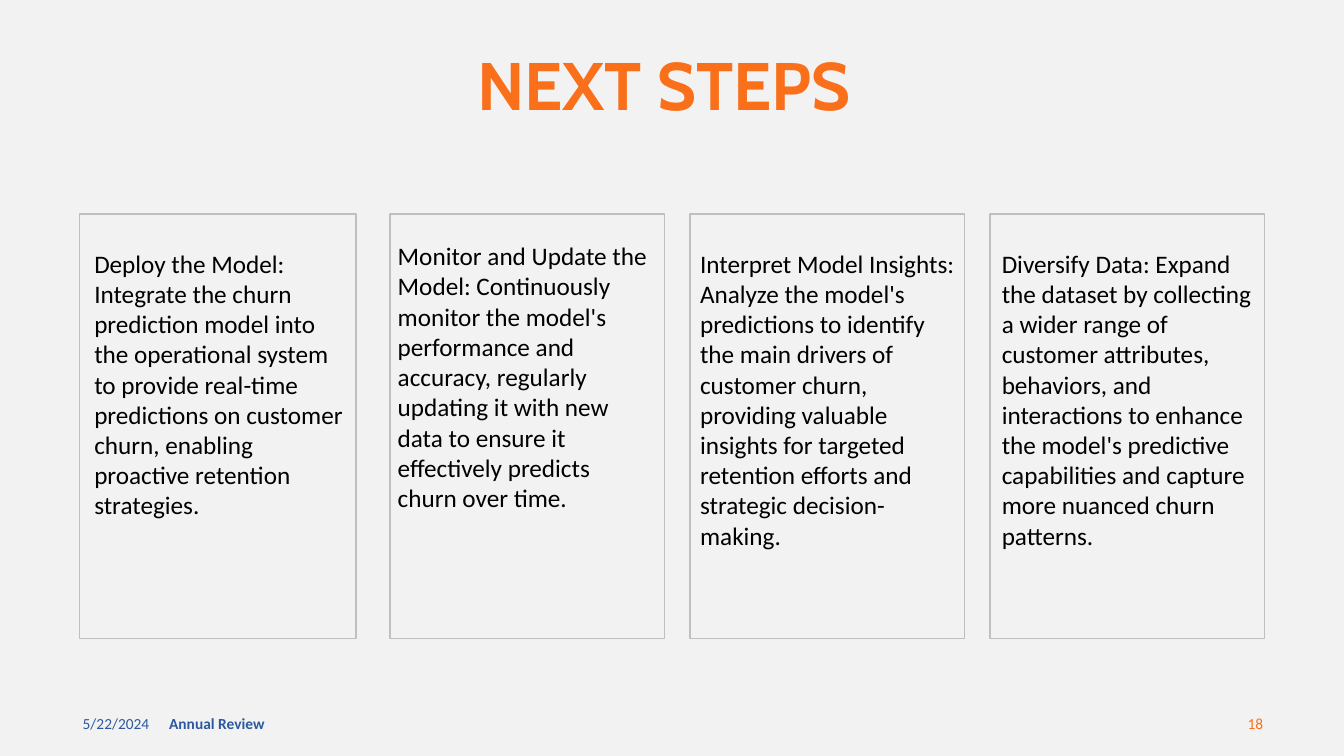
from pptx import Presentation
from pptx.dml.color import RGBColor
from pptx.enum.shapes import MSO_SHAPE
from pptx.enum.text import MSO_ANCHOR, PP_ALIGN
from pptx.util import Pt

ORANGE, BLUE, GREY, BLACK = "FA6F1A", "2C599D", "BFBFBF", "000000"


def rgb(value):
    return RGBColor.from_string(value)


def add_text(s, text, left, top, width, height, size, color, font="Calibri",
             bold=False, align=PP_ALIGN.LEFT, anchor=MSO_ANCHOR.MIDDLE, wrap=True):
    tf = s.shapes.add_textbox(Pt(left), Pt(top), Pt(width), Pt(height)).text_frame
    tf.word_wrap = wrap
    tf.vertical_anchor = anchor
    p = tf.paragraphs[0]
    p.text = text
    p.alignment = align
    p.font.name = font
    p.font.size = Pt(size)
    p.font.bold = bold
    p.font.color.rgb = rgb(color)
    return p


prs = Presentation()
prs.slide_width, prs.slide_height = Pt(960), Pt(540)
s = prs.slides.add_slide(prs.slide_layouts[6])
s.background.fill.solid()
s.background.fill.fore_color.rgb = rgb("F2F2F2")

# Footer
add_text(s, "5/22/2024", 52, 502.5, 216, 29, 11, BLUE)
add_text(s, "Annual Review", 113.75, 502.5, 324, 29, 11, BLUE, bold=True)
add_text(s, "18", 693.5, 502.5, 216, 29, 11, ORANGE, align=PP_ALIGN.RIGHT)

# Title
title = add_text(s, "NEXT STEPS", 332, 44, 284.5, 39.5, 48, ORANGE, font="Cabin",
                 bold=True, align=PP_ALIGN.CENTER, wrap=False)
title.line_spacing = 0.9

# Step cards: frame left and width, text left, top, width and height, text
steps = [
    (56.75, 197.5, 60.25, 173.5, 198.75, 181.5,
     "Deploy the Model: Integrate the churn prediction model into the operational "
     "system to provide real-time predictions on customer churn, enabling proactive "
     "retention strategies."),
    (278.5, 196, 277, 168.25, 197.5, 203.75,
     "Monitor and Update the Model: Continuously monitor the model's performance and "
     "accuracy, regularly updating it with new data to ensure it effectively predicts "
     "churn over time."),
    (493, 196, 493, 173.5, 196, 225.5,
     "Interpret Model Insights: Analyze the model's predictions to identify the main "
     "drivers of customer churn, providing valuable insights for targeted retention "
     "efforts and strategic decision-making."),
    (707.25, 196, 708.5, 173.5, 196, 225.5,
     "Diversify Data: Expand the dataset by collecting a wider range of customer "
     "attributes, behaviors, and interactions to enhance the model's predictive "
     "capabilities and capture more nuanced churn patterns."),
]
for left, width, text_left, text_top, text_width, text_height, text in steps:
    card = s.shapes.add_shape(MSO_SHAPE.RECTANGLE, Pt(left), Pt(152.75), Pt(width), Pt(303.5))
    card.shadow.inherit = False
    card.fill.background()
    card.line.color.rgb = rgb(GREY)
    card.line.width = Pt(1)
    add_text(s, text, text_left, text_top, text_width, text_height, 18, BLACK,
             anchor=MSO_ANCHOR.TOP)

prs.save("out.pptx")
